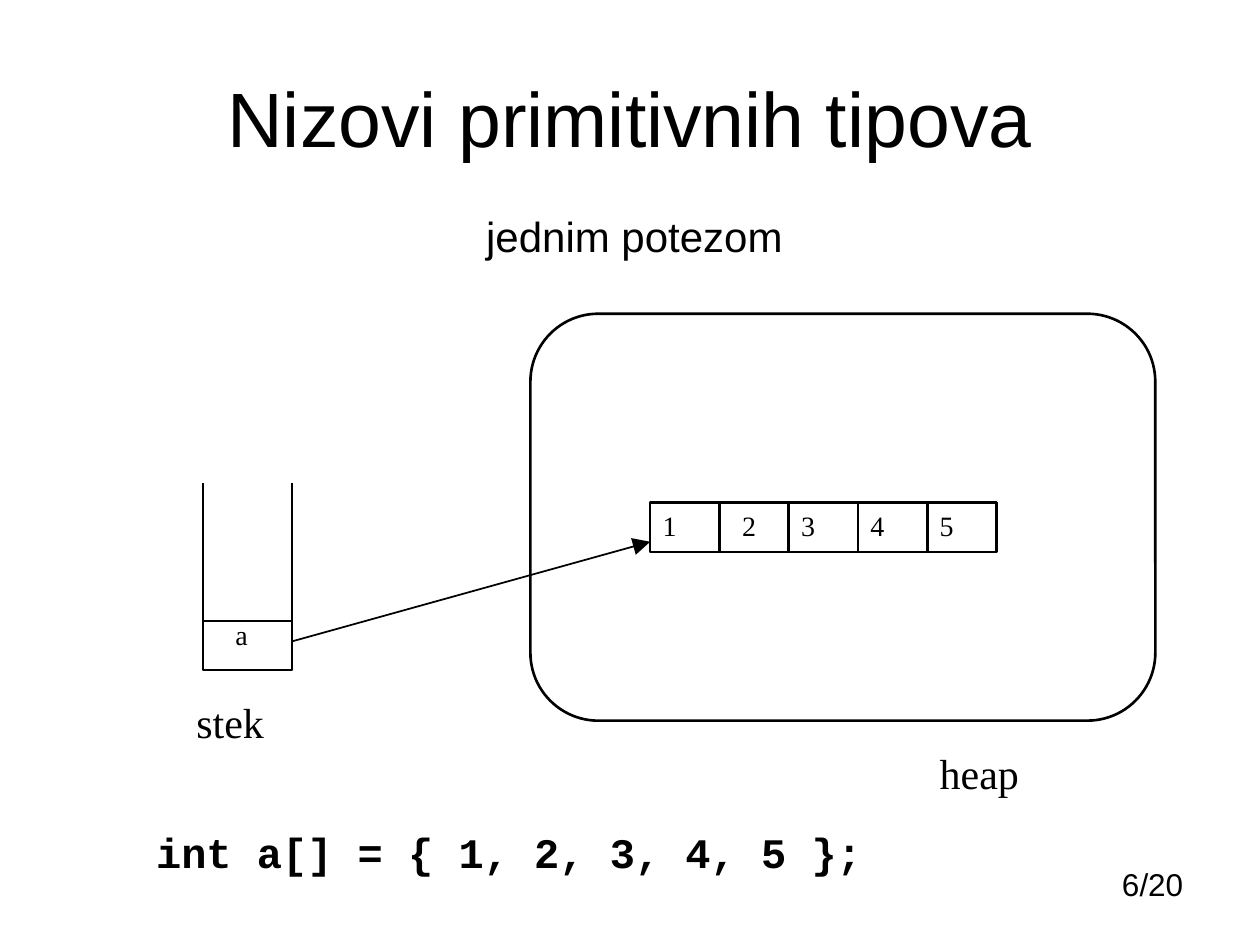
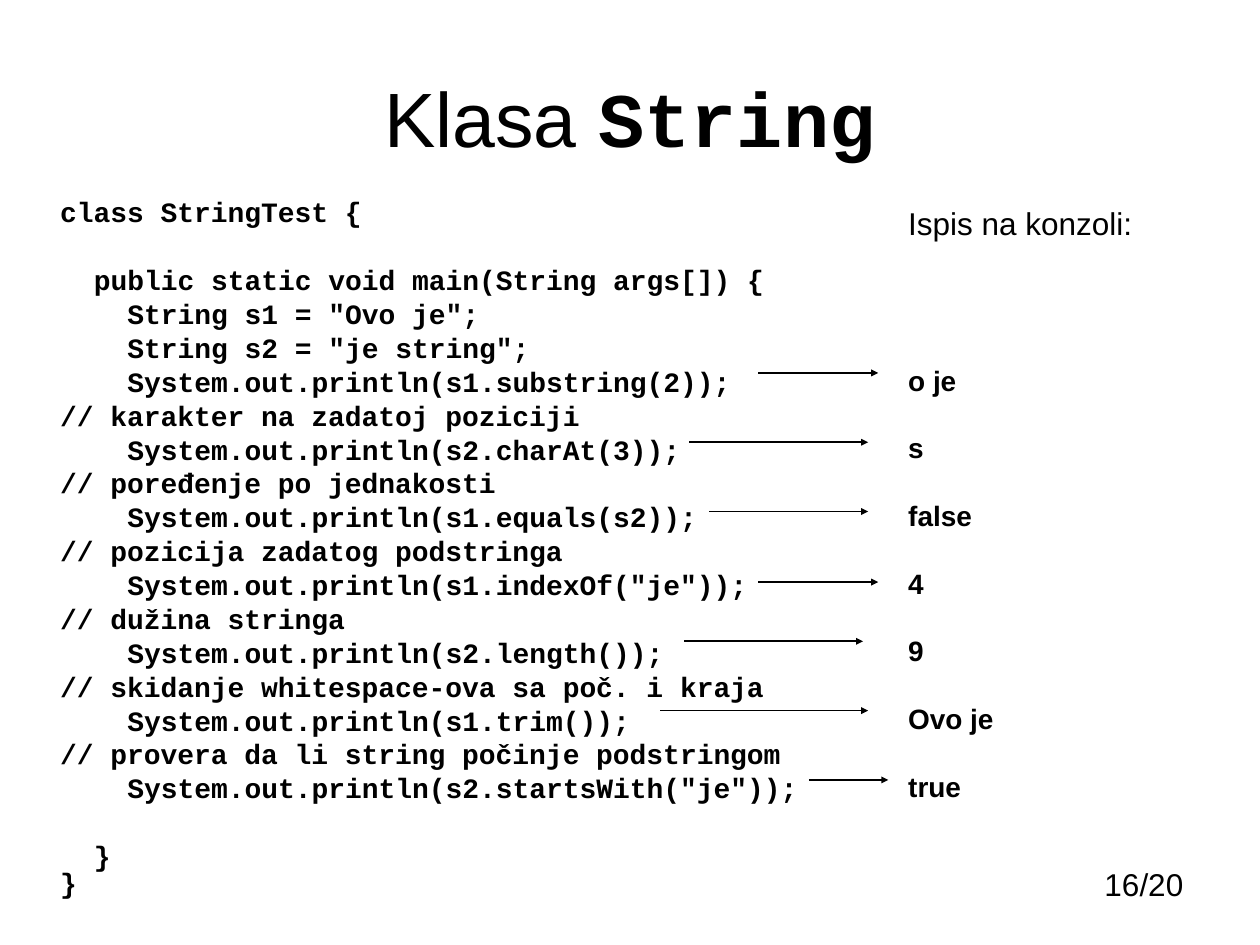
from lxml import etree
from pptx import Presentation, util as u
from pptx.dml.color import RGBColor
from pptx.enum import shapes as kinds, text as t
from pptx.oxml.ns import qn

COLORS = {"ink": "000000", "paper": "FFFFFF"}
SANS, SERIF, MONO = "Arial", "Times New Roman", "Courier New"
TITLE_BOX = (0.5, 0.3, 9, 1.25)
FOOTER_BOX = (6.73, 6.82, 2.76, 0.4)
TITLE_ONLY = 5

LISTING_INDENT = 0.38
CODE_STEP = 9.6 / 72  # width of one 16 pt monospaced character
LINE_GAP, BLANK_LINE_GAP, HEADING_GAP = 4, 23.3, 73

# (indent in characters, space before in points, text)
CODE = [
    (0, 0, "class StringTest {"),
    (2, BLANK_LINE_GAP, "public static void main(String args[]) {"),
    (4, LINE_GAP, 'String s1 = "Ovo je";'),
    (4, LINE_GAP, 'String s2 = "je string";'),
    (4, LINE_GAP, "System.out.println(s1.substring(2));"),
    (0, LINE_GAP, "// karakter na zadatoj poziciji"),
    (4, LINE_GAP, "System.out.println(s2.charAt(3));"),
    (0, LINE_GAP, "// poređenje po jednakosti"),
    (4, LINE_GAP, "System.out.println(s1.equals(s2));"),
    (0, LINE_GAP, "// pozicija zadatog podstringa"),
    (4, LINE_GAP, 'System.out.println(s1.indexOf("je"));'),
    (0, LINE_GAP, "// dužina stringa"),
    (4, LINE_GAP, "System.out.println(s2.length());"),
    (0, LINE_GAP, "// skidanje whitespace-ova sa poč. i kraja"),
    (4, LINE_GAP, "System.out.println(s1.trim());"),
    (0, LINE_GAP, "// provera da li string počinje podstringom"),
    (4, LINE_GAP, 'System.out.println(s2.startsWith("je"));'),
    (2, BLANK_LINE_GAP, "}"),
    (0, 0, "}"),
]
RESULTS = ["o je", "s", "false", "4", "9", "Ovo je", "true"]
# (start, end, height) of the arrow from each call to its result
RESULT_ARROWS = [
    (6.02, 6.97, 2.96), (5.47, 6.89, 3.51), (5.63, 6.89, 4.06),
    (6.02, 6.97, 4.62), (5.43, 6.85, 5.09), (5.24, 6.89, 5.64),
    (6.42, 7.05, 6.19),
]


def color(name):
    return RGBColor.from_string(COLORS[name])


def inches(values):
    return [u.Inches(value) for value in values]


def set_all(target, values):
    for name, value in values.items():
        setattr(target, name, value)


def write(paragraph, content, size, font=SANS, bold=False, **paragraph_format):
    run = paragraph.add_run()
    run.text = content
    set_all(run.font, {"name": font, "size": u.Pt(size), "bold": bold})
    run.font.color.rgb = color("ink")
    set_all(paragraph, paragraph_format)


def add_text_box(slide, box):
    shape = slide.shapes.add_textbox(*inches(box))
    shape.text_frame.word_wrap = True
    return shape.text_frame


def add_label(slide, box, content, size, **style):
    write(add_text_box(slide, box).paragraphs[0], content, size, **style)


def add_outline(slide, kind, box, width):
    shape = slide.shapes.add_shape(kind, *inches(box))
    shape.shadow.inherit = False
    shape.fill.background()
    shape.line.color.rgb = color("ink")
    shape.line.width = u.Pt(width)
    return shape


def add_line(slide, start, end, head=None):
    """Draw a line; head is the arrowhead size, "sm" or "lg"."""
    line = slide.shapes.add_connector(
        kinds.MSO_CONNECTOR.STRAIGHT, *inches((*start, *end)))
    line.line.color.rgb = color("ink")
    line.line.width = u.Pt(1)
    properties = line._element.spPr
    if head:
        etree.SubElement(properties.find(qn("a:ln")), qn("a:tailEnd"),
                         type="triangle", w=head, len=head)
    etree.SubElement(properties, qn("a:effectLst"))


def add_slide(presentation, title_runs, page):
    """Add a slide with its title, given as (text, style) pairs, and page."""
    slide = presentation.slides.add_slide(
        presentation.slide_layouts[TITLE_ONLY])
    slide.background.fill.solid()
    slide.background.fill.fore_color.rgb = color("paper")
    title = slide.shapes.title
    set_all(title, dict(zip(("left", "top", "width", "height"),
                            inches(TITLE_BOX))))
    set_all(title.text_frame, {"vertical_anchor": t.MSO_ANCHOR.MIDDLE,
                               "auto_size": t.MSO_AUTO_SIZE.NONE})
    for content, style in title_runs:
        write(title.text_frame.paragraphs[0], content, 44,
              alignment=t.PP_ALIGN.CENTER, **style)
    add_label(slide, FOOTER_BOX, page, 18, alignment=t.PP_ALIGN.RIGHT)
    return slide


def add_stack(slide, left, top, width, height):
    bottom, slot = top + height, 0.39
    add_outline(slide, kinds.MSO_SHAPE.RECTANGLE,
                (left, bottom - slot, width, slot), 1)
    for wall in (left, left + width):
        add_line(slide, (wall, bottom), (wall, top))
    add_label(slide, (left + 0.16, bottom - 0.47, 0.47, 0.37), "a", 16,
              font=SERIF)
    add_label(slide, (left - 0.15, bottom + 0.16, 1.26, 0.5), "stek", 24,
              font=SERIF)


def add_array(slide, left, top, cell_width, height, values):
    for index, value in enumerate(values):
        box = (left + index * cell_width, top, cell_width, height)
        cell = add_outline(slide, kinds.MSO_SHAPE.RECTANGLE, box, 1.5)
        set_all(cell.text_frame, {
            "vertical_anchor": t.MSO_ANCHOR.TOP, "word_wrap": False,
            "margin_left": u.Inches(0.18 if value == 2 else 0.1)})
        write(cell.text_frame.paragraphs[0], str(value), 16, font=SERIF,
              alignment=t.PP_ALIGN.LEFT)


def add_heap(slide, left, top, width, height):
    heap = add_outline(slide, kinds.MSO_SHAPE.ROUNDED_RECTANGLE,
                       (left, top, width, height), 1.5)
    heap.adjustments[0] = 0.167
    add_label(slide, (left + 3.15, top + height + 0.16, 1.5, 0.5), "heap",
              24, font=SERIF)
    add_array(slide, left + 0.95, top + 1.5, 0.55, 0.39, range(1, 6))


def add_listing_line(frame, content, size, gap, indent=0, **style):
    """Fill the empty first paragraph, or append one, with tight spacing."""
    first = frame.paragraphs[0]
    paragraph = frame.add_paragraph() if first.runs else first
    write(paragraph, content, size, line_spacing=0.8,
          space_before=u.Pt(gap), **style)
    margin = u.Inches(LISTING_INDENT + indent * CODE_STEP)
    properties = paragraph._p.get_or_add_pPr()
    properties.set("marL", str(margin))
    properties.set("indent", "0")


def add_code(slide, box):
    frame = add_text_box(slide, box)
    for indent, gap, content in CODE:
        add_listing_line(frame, content, 16, gap, indent, font=MONO, bold=True)


def add_console(slide, box):
    frame = add_text_box(slide, box)
    add_listing_line(frame, "Ispis na konzoli:", 18, 4.5)
    for index, result in enumerate(RESULTS):
        gap = BLANK_LINE_GAP if index else HEADING_GAP
        add_listing_line(frame, result, 16, gap, bold=True)


def build_array_slide(presentation):
    slide = add_slide(presentation, [("Nizovi primitivnih tipova", {})],
                      "6/20")
    add_label(slide, (1.61, 1.62, 6.85, 0.5), "jednim potezom", 24,
              alignment=t.PP_ALIGN.CENTER)
    add_stack(slide, 1.61, 3.83, 0.71, 1.49)
    add_heap(slide, 4.21, 2.49, 4.96, 3.23)
    add_line(slide, (2.32, 5.09), (5.16, 4.3), "lg")
    add_label(slide, (1.14, 6.51, 6.85, 0.5), "int a[] = { 1, 2, 3, 4, 5 };",
              24, font=MONO, bold=True)


def build_string_slide(presentation):
    title = [("Klasa ", {}), ("String", {"font": MONO, "bold": True})]
    slide = add_slide(presentation, title, "16/20")
    add_code(slide, (0, 1.55, 6.5, 5.71))
    add_console(slide, (6.73, 1.63, 2.91, 5.35))
    for start, end, height in RESULT_ARROWS:
        add_line(slide, (start, height), (end, height), "sm")


def main():
    presentation = Presentation()
    set_all(presentation, {"slide_width": u.Inches(10),
                           "slide_height": u.Inches(7.5)})
    build_array_slide(presentation)
    build_string_slide(presentation)
    presentation.save("out.pptx")


if __name__ == "__main__":
    main()
